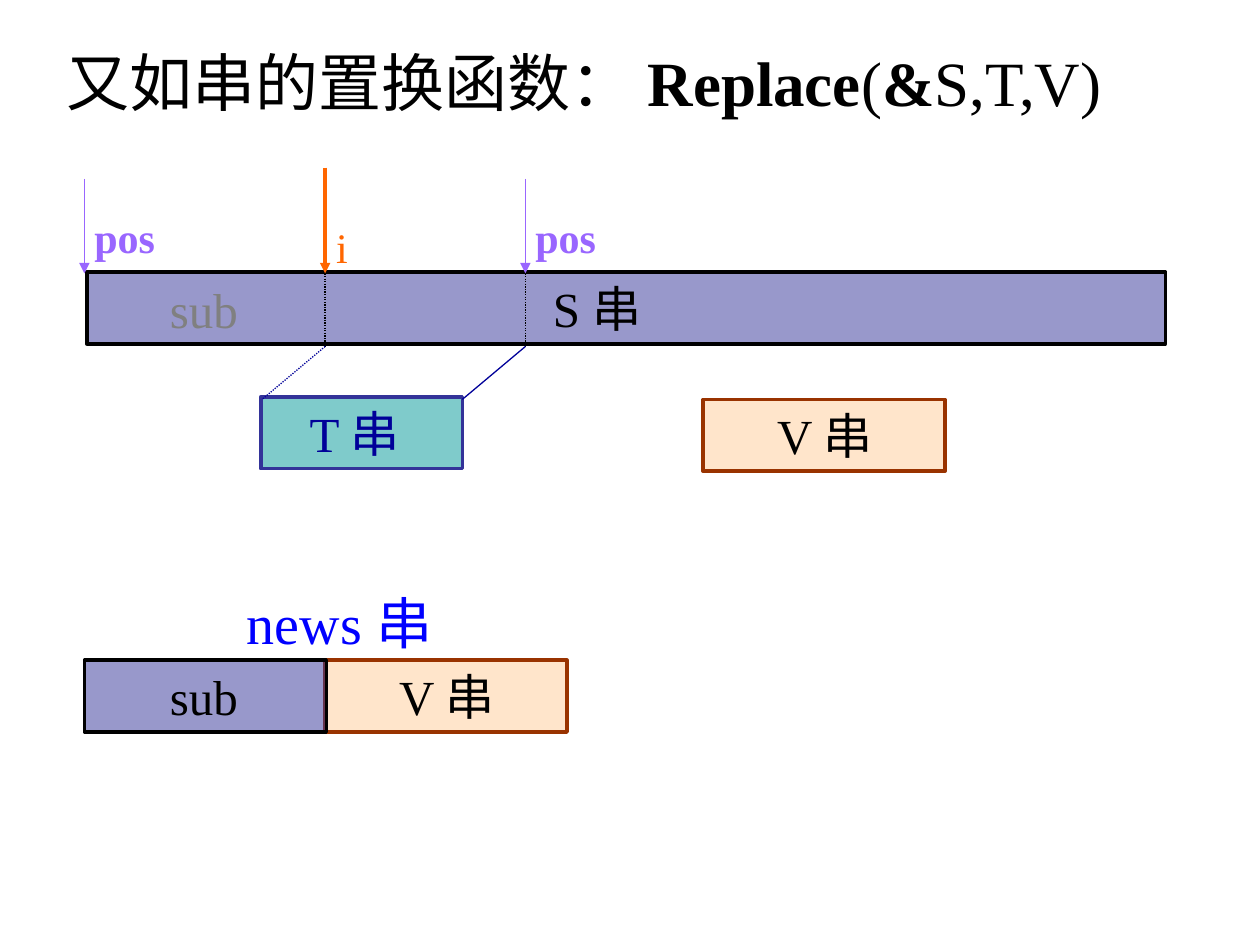
from dataclasses import dataclass
from typing import Optional

from lxml import etree
from pptx import Presentation
from pptx.dml.color import RGBColor
from pptx.enum.dml import MSO_LINE
from pptx.enum.shapes import MSO_CONNECTOR, MSO_SHAPE
from pptx.enum.text import MSO_ANCHOR, PP_ALIGN
from pptx.oxml.ns import qn
from pptx.util import Inches, Pt

RECTANGLE = MSO_SHAPE.RECTANGLE
STRAIGHT = MSO_CONNECTOR.STRAIGHT
DOTTED = MSO_LINE.ROUND_DOT
TOP = MSO_ANCHOR.TOP
LEFT = PP_ALIGN.LEFT

FONT = "Times New Roman"
BLACK, NAVY, INDIGO = "000000", "000099", "333399"
TEAL, PEACH, BROWN = "009999", "FFCC99", "993300"
PURPLE, ORANGE, BLUE, GRAY = "9966FF", "FF6600", "0000FF", "808080"

START_X, MATCH_X, NEXT_X = 0.67, 2.58, 4.17
BAR_Y, BAR_BOTTOM, T_Y, NEWS_Y = 2.17, 2.75, 3.17, 5.24
BAR_HEIGHT, PART_WIDTH = 0.57, 1.92


@dataclass
class Bar:
    text: str
    left: float
    top: float
    width: float
    fill: str
    border: str
    indent: float
    color: str = BLACK


@dataclass
class Label:
    spans: list[tuple[str, bool]]
    left: float
    top: float
    width: float
    height: float
    size: int
    color: str


@dataclass
class Line:
    start: tuple[float, float]
    end: tuple[float, float]
    color: str
    weight: float = 0.75
    dotted: bool = False
    arrow: bool = False


def rgb(value: str) -> RGBColor:
    return RGBColor.from_string(value)


def write_text(shape, spans: list[tuple[str, bool]], size: int, color: str,
               wrap: bool, indent: float = 0) -> None:
    """Fill a shape with one left-aligned paragraph of (text, bold) spans."""
    frame = shape.text_frame
    frame.word_wrap = wrap
    frame.vertical_anchor = TOP
    para = frame.paragraphs[0]
    para.alignment = LEFT
    if indent:
        properties = para._p.get_or_add_pPr()
        properties.set("marL", str(Inches(indent)))
        properties.set("indent", "0")
    for text, bold in spans:
        span = para.add_run()
        span.text = text
        span.font.name = FONT
        span.font.size = Pt(size)
        span.font.bold = bold
        span.font.color.rgb = rgb(color)


def draw_bar(page, bar: Bar) -> None:
    box = page.shapes.add_shape(RECTANGLE, Inches(bar.left), Inches(bar.top),
                                Inches(bar.width), Inches(BAR_HEIGHT))
    box.shadow.inherit = False
    box.fill.solid()
    box.fill.fore_color.rgb = rgb(bar.fill)
    fill_color = box._element.spPr.find(qn("a:solidFill"))[0]
    etree.SubElement(fill_color, qn("a:alpha"), val="50000")
    box.line.color.rgb = rgb(bar.border)
    box.line.width = Pt(2)
    write_text(box, [(bar.text, False)], 28, bar.color, True, bar.indent)


def draw_label(page, label: Label) -> None:
    box = page.shapes.add_textbox(Inches(label.left), Inches(label.top),
                                  Inches(label.width), Inches(label.height))
    write_text(box, label.spans, label.size, label.color, False)


def draw_line(page, line: Line) -> None:
    connector = page.shapes.add_connector(
        STRAIGHT, *(Inches(value) for value in line.start + line.end))
    connector.line.color.rgb = rgb(line.color)
    connector.line.width = Pt(line.weight)
    if line.dotted:
        connector.line.dash_style = DOTTED
    if line.arrow:
        etree.SubElement(connector.line._get_or_add_ln(), qn("a:tailEnd"), type="triangle")
    etree.SubElement(connector._element.spPr, qn("a:effectLst"))


BARS = [
    Bar("S 串", 0.69, 2.16, 8.56, INDIGO, BLACK, 3.6),
    Bar("T 串", 2.07, 3.15, 1.6, TEAL, INDIGO, 0.29, NAVY),
    Bar("V 串", 5.58, T_Y, PART_WIDTH, PEACH, BROWN, 0.49),
    Bar("V 串", MATCH_X, NEWS_Y, PART_WIDTH, PEACH, BROWN, 0.49),
    Bar("sub", START_X, NEWS_Y, PART_WIDTH, INDIGO, BLACK, 0.58),
]

LINES = [
    Line((MATCH_X, BAR_Y), (MATCH_X, BAR_BOTTOM), BLACK, dotted=True),
    Line((NEXT_X, BAR_Y), (NEXT_X, BAR_BOTTOM), BLACK, dotted=True),
    Line((MATCH_X, BAR_BOTTOM), (2.08, T_Y), NAVY, dotted=True),
    Line((NEXT_X, BAR_BOTTOM), (3.67, T_Y), NAVY),
    Line((START_X, 1.42), (START_X, BAR_Y), PURPLE, arrow=True),
    Line((NEXT_X, 1.42), (NEXT_X, BAR_Y), PURPLE, arrow=True),
    Line((MATCH_X, 1.33), (MATCH_X, BAR_Y), ORANGE, 2, arrow=True),
]

TITLE = [("又如串的置换函数： ", False), ("Replace", True), ("(", False),
         ("&", True), ("S,T,V)", False)]

LABELS = [
    Label(TITLE, 0.43, 0.3, 8.57, 0.7, 36, BLACK),
    Label([("pos", True)], START_X - 0.02, 1.63, 0.68, 0.5, 24, PURPLE),
    Label([("pos", True)], NEXT_X - 0.02, 1.63, 0.68, 0.5, 24, PURPLE),
    Label([("i", False)], 2.57, 1.71, 0.29, 0.5, 24, ORANGE),
    Label([("sub", False)], 1.25, BAR_Y, 0.74, BAR_HEIGHT, 28, GRAY),
    Label([("news 串", False)], 1.86, 4.62, 1.78, 0.64, 32, BLUE),
]


def main() -> None:
    deck = Presentation()
    deck.slide_width, deck.slide_height = Inches(10), Inches(7.5)
    page = deck.slides.add_slide(deck.slide_layouts[6])
    for bar in BARS:
        draw_bar(page, bar)
    for line in LINES:
        draw_line(page, line)
    for label in LABELS:
        draw_label(page, label)
    deck.save("out.pptx")


if __name__ == "__main__":
    main()
